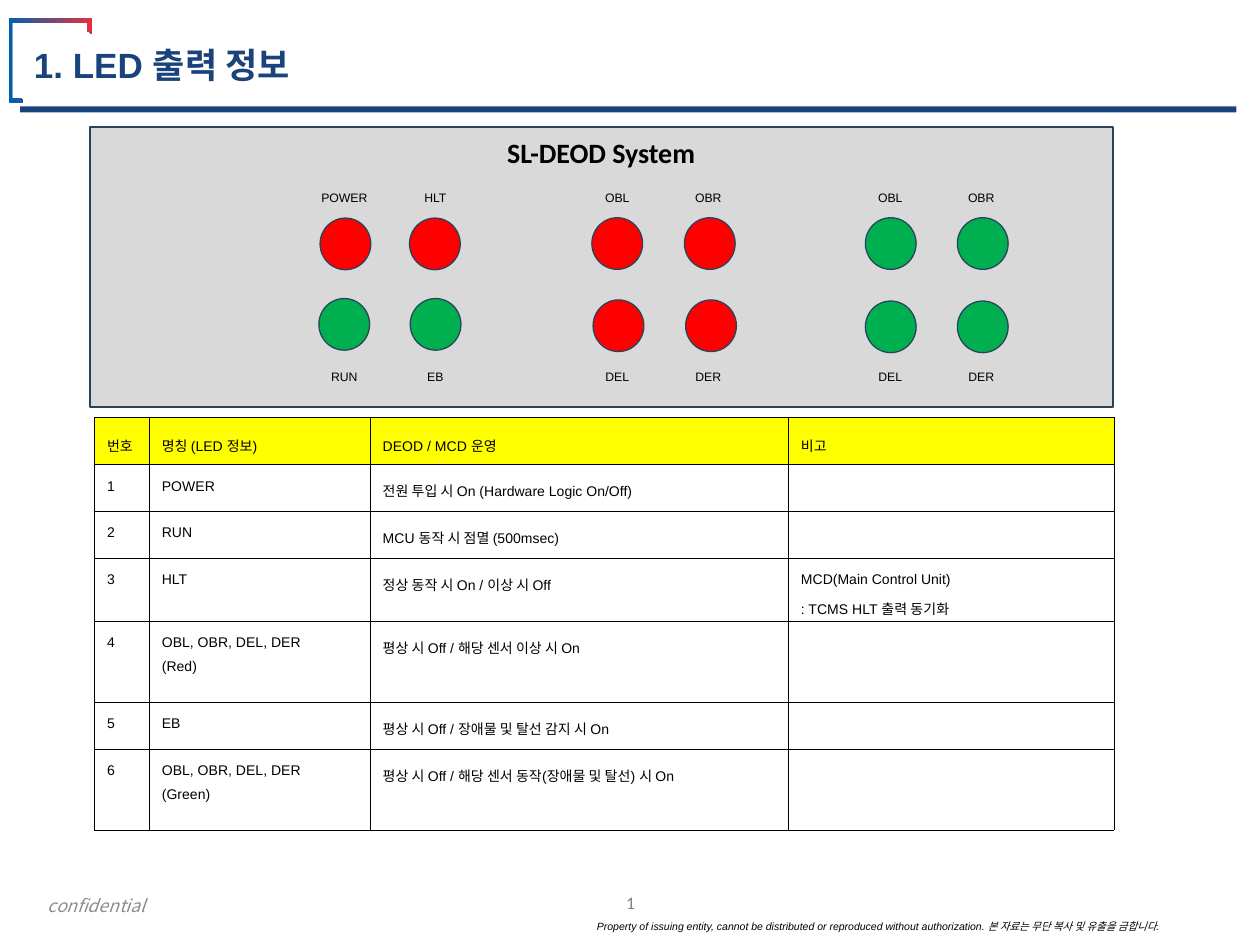
from pptx import Presentation
from pptx.util import Pt
from pptx.dml.color import RGBColor
from pptx.enum.shapes import MSO_SHAPE
from pptx.enum.text import MSO_ANCHOR, MSO_AUTO_SIZE, PP_ALIGN
from pptx.oxml.ns import qn
from lxml import etree

RECTANGLE, OVAL = MSO_SHAPE.RECTANGLE, MSO_SHAPE.OVAL
TOP, MIDDLE, BOTTOM = MSO_ANCHOR.TOP, MSO_ANCHOR.MIDDLE, MSO_ANCHOR.BOTTOM
LEFT, CENTER = PP_ALIGN.LEFT, PP_ALIGN.CENTER
KOREAN = "Noto Sans CJK KR"
NO_STYLE = "{2D5ABB26-0587-4C30-8999-92F81FD0307C}"
COLORS = {
    "bar": "1C427B", "title": "1A427B", "black": "000000", "panel": "D9D9D9",
    "outline": "28445D", "red": "FF0000", "green": "00B050", "header": "FFFF00",
    "number": "808080", "confidential": "8C8C8C",
    "frame blue": "0060AF", "frame red": "E6303F",
}
RGB = {name: RGBColor.from_string(value) for name, value in COLORS.items()}


def write(frame, text, size, color="black", font="Arial", bold=False, italic=False,
          align=LEFT, anchor=MIDDLE, spacing=None):
    frame.text = text
    frame.word_wrap = True
    frame.vertical_anchor = anchor
    for para in frame.paragraphs:
        para.alignment = align
        para.line_spacing = spacing
        para._p.get_or_add_endParaRPr().set("sz", str(size * 100))
        for span in para.runs:
            span.font.size, span.font.name = Pt(size), font
            span.font.bold, span.font.italic = bold, italic
            span.font.color.rgb = RGB[color]
            east_asian = etree.SubElement(span.font._element, qn("a:ea"))
            east_asian.set("typeface", KOREAN)


def plain_table(left, top, widths, heights):
    frame = page.shapes.add_table(len(heights), len(widths), Pt(left), Pt(top),
                                  Pt(sum(widths)), Pt(sum(heights)))
    table = frame.table
    table.first_row = table.horz_banding = False
    table._tbl.tblPr.find(qn("a:tableStyleId")).text = NO_STYLE
    for column, width in zip(table.columns, widths):
        column.width = Pt(width)
    for row, height in zip(table.rows, heights):
        row.height = Pt(height)
    return table


deck = Presentation()
deck.slide_width, deck.slide_height = Pt(720), Pt(540)
page = deck.slides.add_slide(deck.slide_layouts[5])

# Title with its bar and corner frame
title = page.shapes.title
title.left, title.top, title.width, title.height = Pt(12.2), Pt(18), Pt(650), Pt(41)
title.text_frame.auto_size = MSO_AUTO_SIZE.NONE
write(title.text_frame, "1. LED 출력 정보", 20, "title", bold=True, spacing=0.9)

bar = page.shapes.add_shape(RECTANGLE, Pt(11.5), Pt(60.8), Pt(695), Pt(3.4))
bar.shadow.inherit = False
bar.fill.solid()
bar.fill.fore_color.rgb = RGB["bar"]
bar.line.fill.background()

outline = [(5, 10.8), (5.8, 10.1), (52, 10.1), (53.3, 11.2), (53.3, 17.5), (52.9, 18.4),
           (51.9, 18.8), (50.9, 18.4), (50.4, 17.5), (50.4, 13), (7.4, 13), (7.4, 56.2),
           (11.8, 56.2), (12.8, 56.6), (13.2, 57.6), (12.8, 58.6), (11.8, 59),
           (5.8, 59), (5, 58)]
builder = page.shapes.build_freeform(*outline[0], scale=Pt(1))
builder.add_line_segments(outline[1:], close=True)
corner = builder.convert_to_shape()
corner.shadow.inherit = False
corner.line.fill.background()
corner.fill.gradient()
corner.fill.gradient_angle = 0
for stop, name in zip(corner.fill.gradient_stops, ("frame blue", "frame red")):
    stop.color.rgb = RGB[name]

# Front panel
panel = page.shapes.add_shape(RECTANGLE, Pt(51.4), Pt(72.5), Pt(584.6), Pt(160))
panel.shadow.inherit = False
panel.fill.solid()
panel.fill.fore_color.rgb = RGB["panel"]
panel.line.color.rgb = RGB["outline"]
panel.line.width = Pt(1)

# LED labels: one table above and one below the lamps
upper = ["", "POWER", "HLT", "", "OBL", "OBR", "", "OBL", "OBR"]
lower = ["", "RUN", "EB", "", "DEL", "DER", "", "DEL", "DER"]
blank = [""] * len(upper)
for top, heights, rows, anchor in ((98.6, (22.3, 44.6), (upper, blank), BOTTOM),
                                   (167, (41, 19.5), (blank, lower), TOP)):
    labels = plain_table(118.8, top, [52] * len(upper), heights)
    for r, texts in enumerate(rows):
        for c, text in enumerate(texts):
            cell = labels.cell(r, c)
            write(cell.text_frame, text, 7, align=CENTER)
            cell.vertical_anchor = anchor

# Lamps: left, top, colour
lamps = [
    (182.9, 124.6, "red"), (234, 124.6, "red"), (182.2, 170.6, "green"), (234.4, 170.6, "green"),
    (338.2, 124.4, "red"), (391.1, 124.4, "red"), (338.9, 171.4, "red"), (391.8, 171.4, "red"),
    (494.5, 124.4, "green"), (547.1, 124.4, "green"),
    (494.5, 172, "green"), (547.1, 172, "green"),
]
for left, top, color in lamps:
    lamp = page.shapes.add_shape(OVAL, Pt(left), Pt(top), Pt(29), Pt(29.5))
    lamp.shadow.inherit = False
    lamp.fill.solid()
    lamp.fill.fore_color.rgb = RGB[color]
    lamp.line.color.rgb = RGB["outline"]
    lamp.line.width = Pt(0.75)

# Panel name and footer: left, top, width, height, text, size, format
texts = [
    (124.6, 68.4, 437.8, 37.4, "SL-DEOD System", 16,
     dict(font="Calibri", bold=True, align=CENTER)),
    (330.5, 506.2, 59.8, 18.7, "1", 10, dict(color="number", font="Calibri", align=CENTER)),
    (334, 522, 367, 14.4, "Property of issuing entity, cannot be distributed or reproduced "
     "without authorization. 본 자료는 무단 복사 및 유출을 금합니다.", 6,
     dict(italic=True, anchor=TOP)),
    (20.2, 505.4, 99.4, 23.8, "confidential", 10,
     dict(color="confidential", font=KOREAN, italic=True)),
]
for left, top, width, height, text, size, style in texts:
    box = page.shapes.add_textbox(Pt(left), Pt(top), Pt(width), Pt(height))
    write(box.text_frame, text, size, **style)

# LED description table
rows = [
    ("번호", "명칭 (LED 정보)", "DEOD / MCD 운영", "비고"),
    ("1", "POWER", "전원 투입 시 On (Hardware Logic On/Off)", ""),
    ("2", "RUN", "MCU 동작 시 점멸 (500msec)", ""),
    ("3", "HLT", "정상 동작 시 On / 이상 시 Off", "MCD(Main Control Unit)\n: TCMS HLT 출력 동기화"),
    ("4", "OBL, OBR, DEL, DER\n(Red)", "평상 시 Off / 해당 센서 이상 시 On", ""),
    ("5", "EB", "평상 시 Off / 장애물 및 탈선 감지 시 On", ""),
    ("6", "OBL, OBR, DEL, DER\n(Green)", "평상 시 Off / 해당 센서 동작(장애물 및 탈선) 시 On", ""),
]
table = plain_table(54, 238.4, (31.3, 126.2, 239, 186.2), (26.8, 26.8, 26.8, 36, 46.3, 26.8, 46.3))
for r, row in enumerate(rows):
    for c, text in enumerate(row):
        cell = table.cell(r, c)
        write(cell.text_frame, text, 8, spacing=1.5)
        cell.vertical_anchor = TOP if r else MIDDLE
        cell.margin_bottom = Pt(0 if r else 3.6)
        properties = cell._tc.get_or_add_tcPr()
        for side in ("a:lnL", "a:lnR", "a:lnT", "a:lnB"):
            border = etree.SubElement(properties, qn(side), w=str(Pt(0.25)))
            fill = etree.SubElement(border, qn("a:solidFill"))
            etree.SubElement(fill, qn("a:srgbClr"), val=COLORS["black"])
        if r == 0:
            cell.fill.solid()
            cell.fill.fore_color.rgb = RGB["header"]
        else:
            cell.fill.background()

deck.save("out.pptx")
